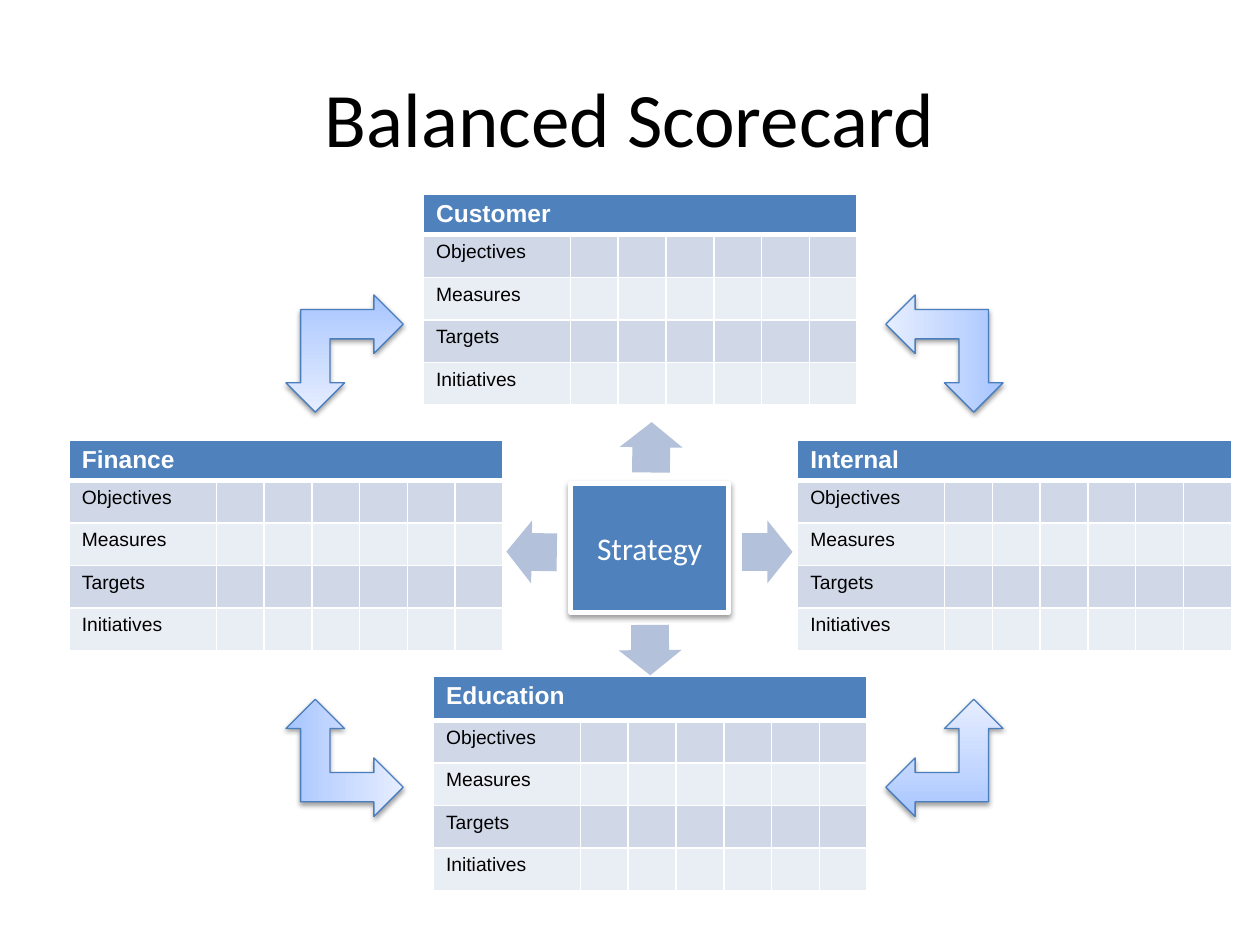
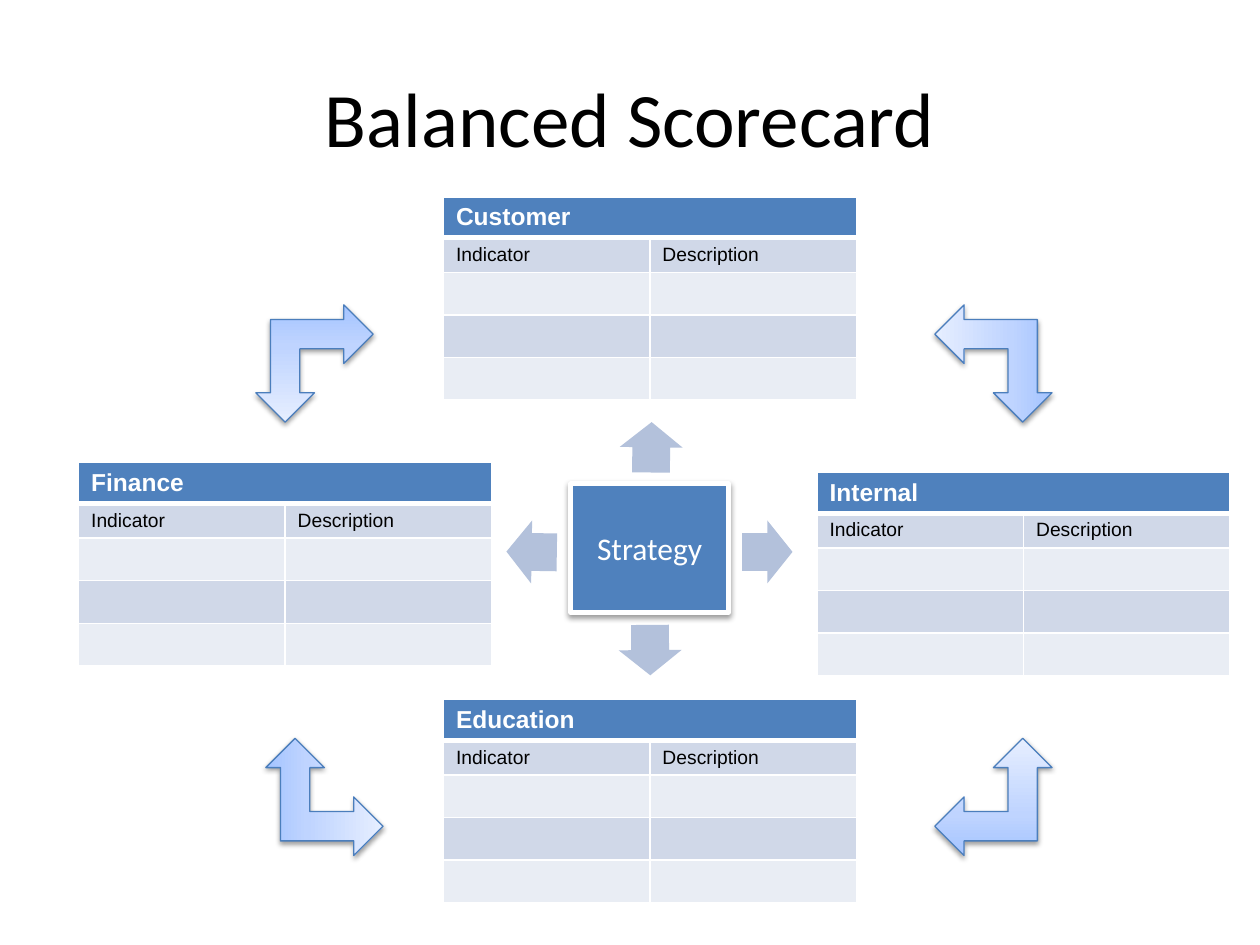
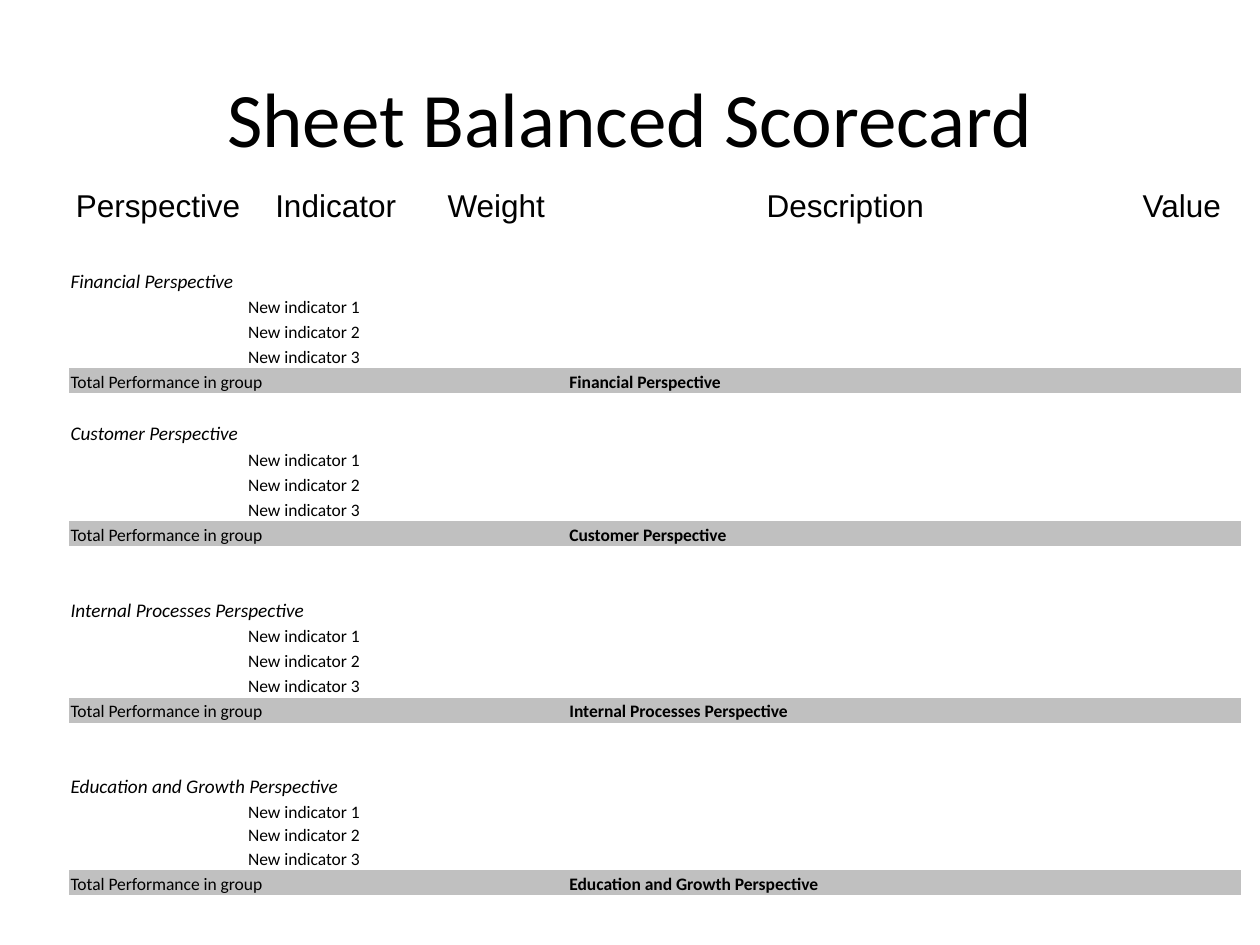
from typing import NamedTuple

import pptx
import pptx.dml.color
import pptx.enum.shapes
import pptx.enum.text
import pptx.oxml
import pptx.oxml.ns
import pptx.util

Pt = pptx.util.Pt
SHAPE = pptx.enum.shapes.MSO_SHAPE
ALIGN = pptx.enum.text.PP_ALIGN
ANCHOR = pptx.enum.text.MSO_ANCHOR
qn = pptx.oxml.ns.qn

# Shared look
HEADING_FONT, TABLE_FONT = "Calibri", "Arial"
BLACK, WHITE = "000000", "FFFFFF"
BLUE, OUTLINE_BLUE, SPOKE_BLUE = "4F81BD", "4B7EBC", "B3C1DB"
BANDS = ("D0D8E8", "E9EDF4")
TOTAL_GREY = "C0C0C0"
CORNER_GRADIENT = ((0, "A4C4FF"), (35, "BFD4FF"), (100, "E6EEFF"))
CORNER_SIZE = 67
EMPTY_SIZE = 8
NO_GRID_STYLE = "{2D5ABB26-0587-4C30-8999-92F81FD0307C}"
XMLNS = pptx.oxml.ns.nsdecls("a")


class Card(NamedTuple):
    heading: str
    left: float
    top: float
    heading_height: float = 23.3


class Arrow(NamedTuple):
    left: float
    top: float
    rotation: float


class Group(NamedTuple):
    name: str
    gap: float
    name_height: float
    indicator_height: float


class TextStyle(NamedTuple):
    size: float
    font: str = TABLE_FONT
    color: str = BLACK
    bold: bool = False
    italic: bool = False


TITLE_STYLE = TextStyle(44, HEADING_FONT)
STRATEGY_STYLE = TextStyle(18, HEADING_FONT, WHITE)
CARD_HEADING = TextStyle(14, color=WHITE, bold=True)
CARD_LABEL = TextStyle(11)
COLUMN_HEADING = TextStyle(18)
GROUP_NAME = TextStyle(11, HEADING_FONT, italic=True)
INDICATOR = TextStyle(10, HEADING_FONT)
GROUP_TOTAL = TextStyle(10, HEADING_FONT, bold=True)

SPOKES = (
    Arrow(424.1, 297.4, 0),
    Arrow(357.8, 237.6, 270.8),
    Arrow(357.1, 353.5, 89.6),
    Arrow(289.4, 297.4, 180.9),
)


def rgb(color: str) -> pptx.dml.color.RGBColor:
    return pptx.dml.color.RGBColor.from_string(color)


# Text and effects
def add_text(frame, text: str, style: TextStyle, align=ALIGN.LEFT) -> None:
    paragraph = frame.paragraphs[0]
    paragraph.alignment = align
    run = paragraph.add_run()
    run.text = text
    font = run.font
    font.size, font.name = Pt(style.size), style.font
    font.bold, font.italic = style.bold, style.italic
    font.color.rgb = rgb(style.color)


def add_shadow(shape) -> None:
    shape.shadow.inherit = False
    shape._element.spPr.find(qn("a:effectLst")).append(pptx.oxml.parse_xml(
        f'<a:outerShdw {XMLNS} blurRad="{Pt(3.1)}" dist="{Pt(1.6)}" dir="5400000" '
        f'rotWithShape="0"><a:srgbClr val="{BLACK}"><a:alpha val="38000"/>'
        '</a:srgbClr></a:outerShdw>'))


def add_title(deck, text: str):
    slide = deck.slides.add_slide(deck.slide_layouts[5])
    title = slide.shapes.title
    title.left, title.top, title.width, title.height = Pt(36), Pt(21.6), Pt(648), Pt(90)
    title.text_frame.vertical_anchor = ANCHOR.MIDDLE
    add_text(title.text_frame, text, TITLE_STYLE, ALIGN.CENTER)
    return slide


# Tables
def add_grid(slide, left: float, top: float, widths: list[float], heights: list[float]):
    table = slide.shapes.add_table(
        len(heights), len(widths), Pt(left), Pt(top), Pt(sum(widths)), Pt(sum(heights))).table
    table._tbl.tblPr.find(qn("a:tableStyleId")).text = NO_GRID_STYLE
    for column, width in zip(table.columns, widths):
        column.width = Pt(width)
    for row, height in zip(table.rows, heights):
        row.height = Pt(height)
    return table


def fill_cell(cell, color: str | None) -> None:
    if color:
        cell.fill.solid()
        cell.fill.fore_color.rgb = rgb(color)
    else:
        cell.fill.background()


def shrink_empty_cells(table) -> None:
    """Keep empty cells from stretching their rows."""
    for cell in table.iter_cells():
        if not cell.text_frame.text:
            cell.text_frame.paragraphs[0]._p.append(
                pptx.oxml.parse_xml(f'<a:endParaRPr {XMLNS} sz="{EMPTY_SIZE * 100}"/>'))


def add_borders(cell, top: float, bottom: float) -> None:
    sides = (("lnL", 1), ("lnR", 1), ("lnT", top), ("lnB", bottom))
    for position, (side, width) in enumerate(sides):
        cell._tc.get_or_add_tcPr().insert(position, pptx.oxml.parse_xml(
            f'<a:{side} {XMLNS} w="{Pt(width)}"><a:solidFill><a:srgbClr val="{WHITE}"/>'
            f'</a:solidFill></a:{side}>'))


def add_card(slide, card: Card, widths: list[float], row_heights: list[float],
             labels: dict[tuple[int, int], str]) -> None:
    table = add_grid(slide, card.left, card.top, widths, [card.heading_height, *row_heights])
    for row_number, row in enumerate(table.rows):
        for cell in row.cells:
            fill_cell(cell, BANDS[(row_number - 1) % 2] if row_number else BLUE)
            add_borders(cell, top=3 if row_number == 1 else 1, bottom=1 if row_number else 3)
    table.cell(0, 0).merge(table.cell(0, len(widths) - 1))
    add_text(table.cell(0, 0).text_frame, card.heading, CARD_HEADING)
    for (row_number, column), label in labels.items():
        add_text(table.cell(row_number, column).text_frame, label, CARD_LABEL)
    shrink_empty_cells(table)


# Strategy hub and arrows
def add_hub(slide) -> None:
    strategy = slide.shapes.add_shape(SHAPE.RECTANGLE, Pt(326.2), Pt(276.5), Pt(90), Pt(73.4))
    strategy.fill.solid()
    strategy.fill.fore_color.rgb = rgb(BLUE)
    strategy.line.color.rgb = rgb(WHITE)
    strategy.line.width = Pt(3)
    add_shadow(strategy)
    strategy.text_frame.vertical_anchor = ANCHOR.MIDDLE
    add_text(strategy.text_frame, "Strategy", STRATEGY_STYLE, ALIGN.CENTER)
    for spoke in SPOKES:
        arrow = slide.shapes.add_shape(
            SHAPE.RIGHT_ARROW, Pt(spoke.left), Pt(spoke.top), Pt(28.8), Pt(36))
        arrow.adjustments[0], arrow.adjustments[1] = 0.6, 0.5
        arrow.rotation = spoke.rotation
        arrow.fill.solid()
        arrow.fill.fore_color.rgb = rgb(SPOKE_BLUE)
        arrow.line.fill.background()
        arrow.shadow.inherit = False


def add_corner(slide, corner: Arrow) -> None:
    arrow = slide.shapes.add_shape(SHAPE.LEFT_UP_ARROW, Pt(corner.left), Pt(corner.top),
                                   Pt(CORNER_SIZE), Pt(CORNER_SIZE))
    arrow.rotation = corner.rotation
    arrow.line.color.rgb = rgb(OUTLINE_BLUE)
    arrow.line.width = Pt(0.75)
    add_shadow(arrow)
    stops = "".join(f'<a:gs pos="{position * 1000}"><a:srgbClr val="{color}"/></a:gs>'
                    for position, color in CORNER_GRADIENT)
    arrow._element.spPr.find(qn("a:prstGeom")).addnext(pptx.oxml.parse_xml(
        f'<a:gradFill {XMLNS} rotWithShape="1"><a:gsLst>{stops}</a:gsLst>'
        '<a:lin ang="16200000" scaled="0"/></a:gradFill>'))


def add_scorecard(deck, cards: list[Card], corners: list[Arrow], widths: list[float],
                  row_heights: list[float], labels: dict[tuple[int, int], str]) -> None:
    slide = add_title(deck, "Balanced Scorecard")
    for card in cards:
        add_card(slide, card, widths, row_heights, labels)
    add_hub(slide)
    for corner in corners:
        add_corner(slide, corner)


# Perspective sheet
def add_perspective_sheet(deck) -> None:
    slide = add_title(deck, "Sheet Balanced Scorecard")
    headings = ("Perspective", "Indicator", "Weight", "Description", "Value")
    row_height = 14.3
    groups = (
        Group("Financial Perspective", 0, 15.8, row_height),
        Group("Customer Perspective", row_height, 15.8, row_height),
        Group("Internal Processes Perspective", 29.4, row_height, row_height),
        Group("Education and Growth Perspective", 29.4, row_height, 13.5),
    )
    heights = [17.3, 44.6]
    for group in groups:
        heights += [group.gap] if group.gap else []
        heights += [group.name_height] + [group.indicator_height] * 3 + [row_height]
    table = add_grid(slide, 39.6, 90, [101.5, 101.5, 82.1, 316.8, 67.7], heights)

    for cell in table.iter_cells():
        cell.margin_left = cell.margin_right = cell.margin_top = Pt(0.72)
        cell.margin_bottom = 0
        cell.vertical_anchor = ANCHOR.BOTTOM
        fill_cell(cell, None)

    table.cell(0, 0).merge(table.cell(0, 3))
    for column, heading in enumerate(headings):
        cell = table.cell(1, column)
        cell.vertical_anchor = ANCHOR.TOP
        add_text(cell.text_frame, heading, COLUMN_HEADING, ALIGN.CENTER)

    name_row = 2
    for group in groups:
        name_row += 1 if group.gap else 0
        total_row = name_row + 4
        for row, text, style in ((name_row, group.name, GROUP_NAME),
                                 (total_row, "Total Performance in group", INDICATOR)):
            table.cell(row, 0).merge(table.cell(row, 1))
            add_text(table.cell(row, 0).text_frame, text, style)
        for number in range(1, 4):
            add_text(table.cell(name_row + number, 1).text_frame,
                     f"New indicator {number}", INDICATOR)
        add_text(table.cell(total_row, 3).text_frame, group.name, GROUP_TOTAL)
        for cell in table.rows[total_row].cells:
            fill_cell(cell, TOTAL_GREY)
        name_row = total_row + 1
    shrink_empty_cells(table)


def main() -> None:
    deck = pptx.Presentation()
    deck.slide_width, deck.slide_height = Pt(720), Pt(540)

    # Objectives scorecard
    row_names = ("Objectives", "Measures", "Targets", "Initiatives")
    add_scorecard(
        deck,
        cards=[Card("Customer", 242, 110.9), Card("Internal", 455.8, 251.3),
               Card("Finance", 39.6, 251.3), Card("Education", 247.7, 386.2, 25.6)],
        corners=[Arrow(506.2, 399.6, 0), Arrow(163.4, 399.6, 90),
                 Arrow(506.2, 168.5, 270), Arrow(163.4, 168.5, 180)],
        widths=[84] + [27.3] * 6,
        row_heights=[24.3] * 4,
        labels={(row, 0): name for row, name in enumerate(row_names, 1)})

    # Indicator scorecard
    add_scorecard(
        deck,
        cards=[Card("Finance", 44.9, 264.4), Card("Education", 253.4, 399.8),
               Card("Customer", 253.4, 112.6), Card("Internal", 466.9, 270)],
        corners=[Arrow(534.2, 421.9, 0), Arrow(151.9, 421.9, 90),
                 Arrow(534.2, 174.2, 270), Arrow(146.2, 174.2, 180)],
        widths=[118] * 2,
        row_heights=[19.9] + [24.3] * 3,
        labels={(1, 0): "Indicator", (1, 1): "Description"})

    add_perspective_sheet(deck)
    deck.save("out.pptx")


if __name__ == "__main__":
    main()
